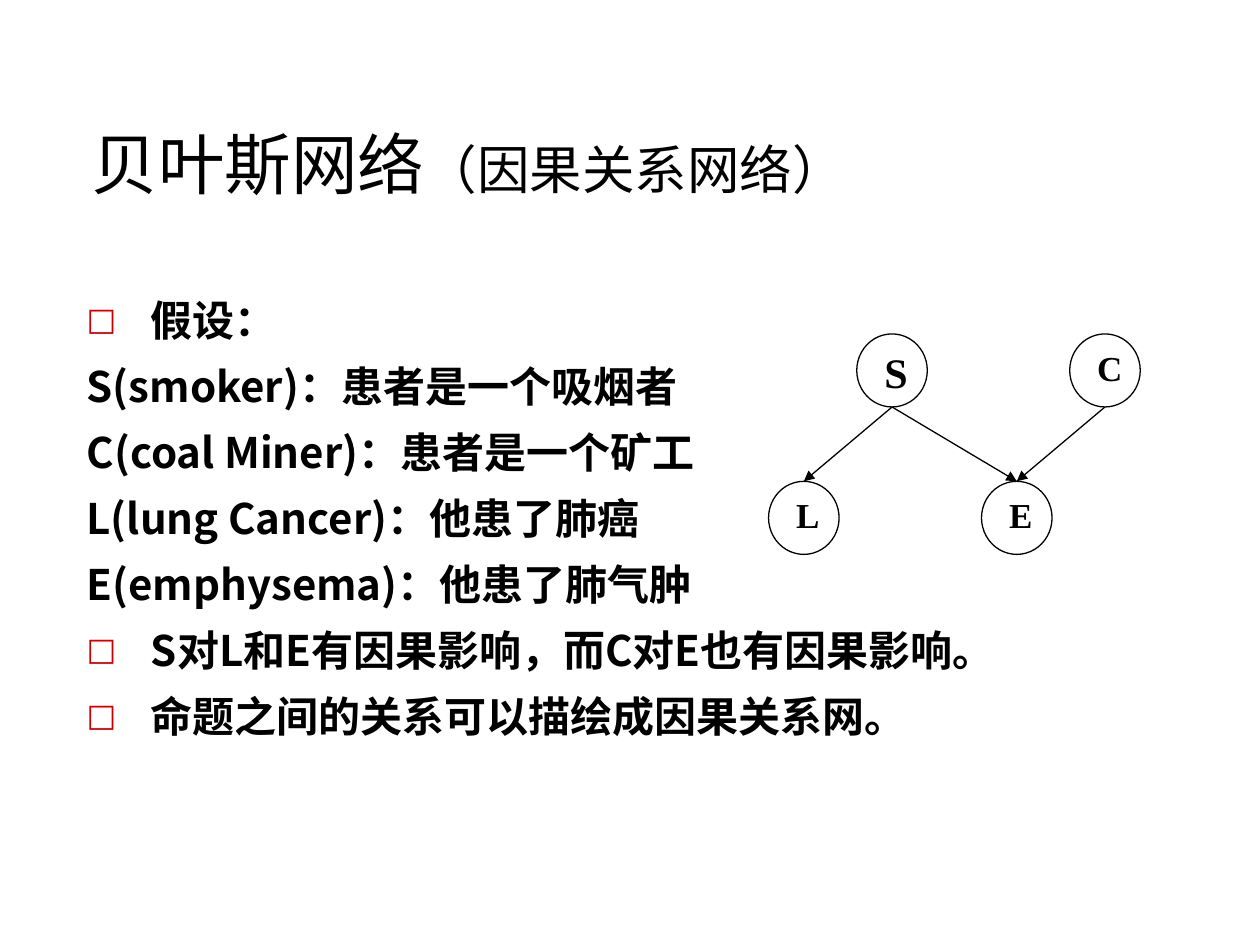
from lxml.etree import SubElement
from pptx import Presentation
from pptx.dml.color import RGBColor
from pptx.enum.shapes import MSO_CONNECTOR, MSO_SHAPE
from pptx.enum.text import MSO_ANCHOR, MSO_AUTO_SIZE, PP_ALIGN
from pptx.oxml.ns import qn
from pptx.util import Inches, Pt

BLACK = RGBColor(0, 0, 0)
WHITE = RGBColor(255, 255, 255)
BULLET_RED = RGBColor(0xCC, 0, 0)
SANS = "DejaVu Sans"
LATIN = "Noto Sans CJK JP"
CHINESE = "Noto Sans CJK SC"
SERIF = "Times New Roman"


def add_box(left, top, width, height):
    box = page.shapes.add_textbox(Inches(left), Inches(top), Inches(width), Inches(height))
    box.text_frame.word_wrap = True
    return box.text_frame


def add_span(para, text, font_name):
    span = para.add_run()
    span.text = text
    span.font.name = font_name
    SubElement(span.font._element, qn("a:ea"), typeface=font_name)
    return span


deck = Presentation()
deck.slide_width, deck.slide_height = Inches(10), Inches(7.5)
page = deck.slides.add_slide(deck.slide_layouts[6])

title = add_box(0.63, 0.33, 8.75, 1.33)
title.vertical_anchor = MSO_ANCHOR.BOTTOM
title.paragraphs[0].font.color.rgb = BLACK
for text, size in (("贝叶斯网络", 38), ("（因果关系网络）", 30)):
    span = add_span(title.paragraphs[0], text, SANS)
    span.font.size = Pt(size)

statements = [
    (True, PP_ALIGN.JUSTIFY, [("假设：", SANS)]),
    (False, PP_ALIGN.JUSTIFY, [("S(smoker)", LATIN), ("：患者是一个吸烟者", SANS)]),
    (False, PP_ALIGN.JUSTIFY, [("C(coal Miner)", LATIN), ("：患者是一个矿工", SANS)]),
    (False, PP_ALIGN.JUSTIFY, [("L(lung Cancer)", LATIN), ("：他患了肺癌", SANS)]),
    (False, PP_ALIGN.JUSTIFY, [("E(emphysema)", LATIN), ("：他患了肺气肿", SANS)]),
    (True, PP_ALIGN.LEFT, [
        ("S", LATIN), ("对", CHINESE), ("L", LATIN), ("和", CHINESE), ("E", LATIN),
        ("有因果影响，而", CHINESE), ("C", LATIN), ("对", CHINESE), ("E", LATIN),
        ("也有因果影响。", CHINESE),
    ]),
    (True, PP_ALIGN.LEFT, [("命题之间的关系可以描绘成因果关系网。", CHINESE)]),
]
body = add_box(0.59, 2.25, 8.5, 3.94)
body.auto_size = MSO_AUTO_SIZE.TEXT_TO_FIT_SHAPE
for index, (bulleted, alignment, spans) in enumerate(statements):
    para = body.add_paragraph() if index else body.paragraphs[0]
    para.alignment = alignment
    para.line_spacing = 1.1
    if index:
        para.space_before = Pt(6)
    properties = para._p.get_or_add_pPr()
    properties.set("marL", str(Inches(0.51)))
    properties.set("indent", str(Inches(-0.51)))
    if bulleted:
        colour = SubElement(properties, qn("a:buClr"))
        SubElement(colour, qn("a:srgbClr"), val=str(BULLET_RED))
        SubElement(properties, qn("a:buSzPct"), val="75000")
        SubElement(properties, qn("a:buFont"), typeface=SANS)
        SubElement(properties, qn("a:buChar"), char="□")
    else:
        SubElement(properties, qn("a:buNone"))
    para.font.size = Pt(24)
    para.font.bold = True
    para.font.color.rgb = BLACK
    for text, font_name in spans:
        add_span(para, text, font_name)

NODE_WIDTH, NODE_HEIGHT = 0.56, 0.58
nodes = {"S": (6.8, 2.65, 24), "C": (8.49, 2.65, 20), "E": (7.79, 3.82, 20), "L": (6.1, 3.82, 20)}
for name, (left, top, size) in nodes.items():
    circle = page.shapes.add_shape(
        MSO_SHAPE.OVAL, Inches(left), Inches(top), Inches(NODE_WIDTH), Inches(NODE_HEIGHT)
    )
    circle.shadow.inherit = False
    circle.fill.solid()
    circle.fill.fore_color.rgb = WHITE
    circle.line.color.rgb = BLACK
    circle.line.width = Pt(0.75)
    label = add_box(left + 0.12, top + 0.05, 0.42, 0.44)
    para = label.paragraphs[0]
    para.text = name
    para.alignment = PP_ALIGN.JUSTIFY
    para.font.name = SERIF
    para.font.size = Pt(size)
    para.font.bold = True
    para.font.color.rgb = BLACK

for cause, effect in ("SL", "SE", "CE"):
    cause_left, cause_top, _ = nodes[cause]
    effect_left, effect_top, _ = nodes[effect]
    arrow = page.shapes.add_connector(
        MSO_CONNECTOR.STRAIGHT,
        Inches(cause_left + NODE_WIDTH / 2), Inches(cause_top + NODE_HEIGHT),
        Inches(effect_left + NODE_WIDTH / 2), Inches(effect_top),
    )
    arrow.line.color.rgb = BLACK
    arrow.line.width = Pt(0.75)
    SubElement(arrow.line._get_or_add_ln(), qn("a:tailEnd"), type="triangle")
    SubElement(arrow._element.spPr, qn("a:effectLst"))

deck.save("out.pptx")
